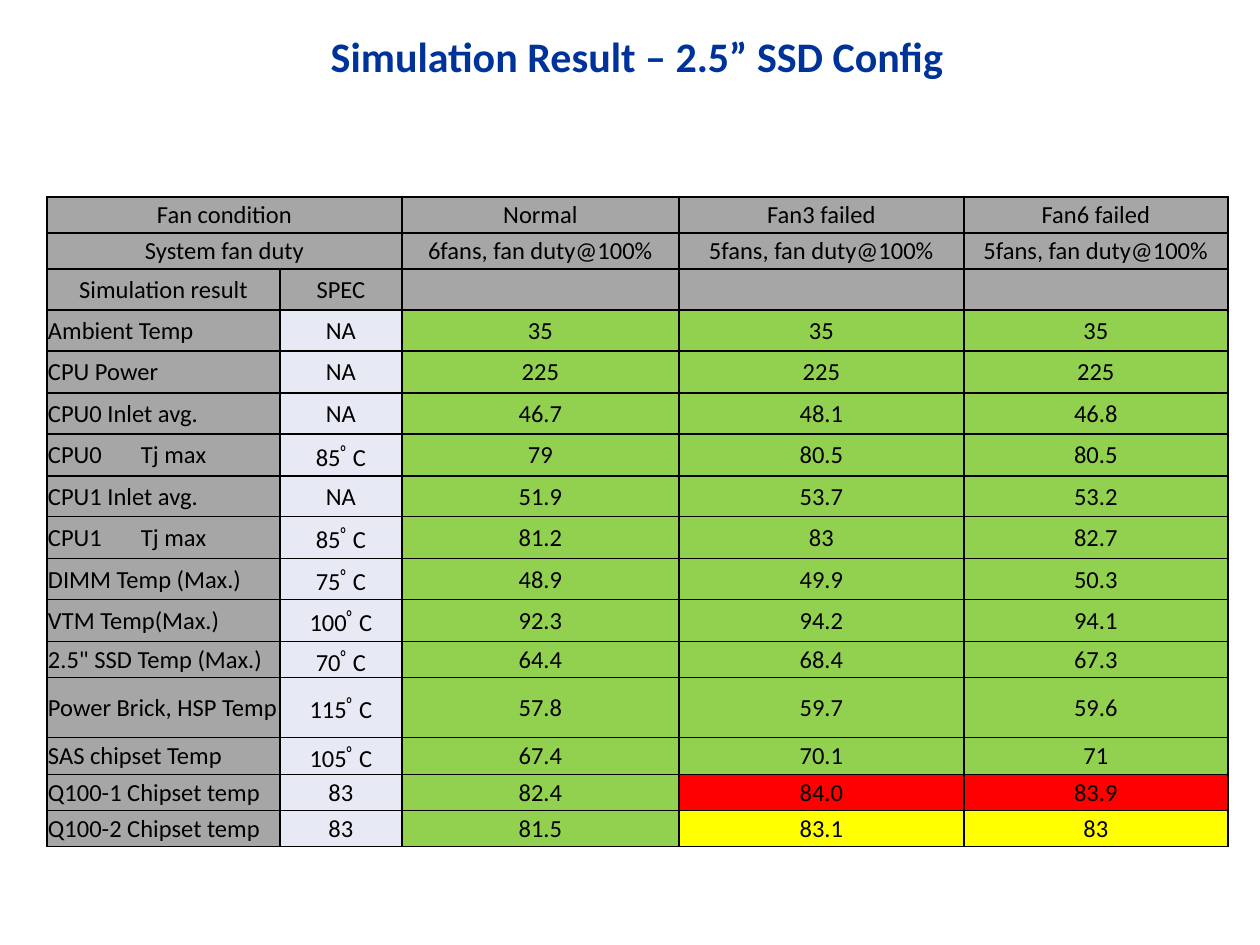
import pptx
import pptx.dml.color
import pptx.enum.text
import pptx.oxml
import pptx.oxml.ns
import pptx.util

PIXEL = 914400 // 126
FONT = "Calibri"
GREY, LAVENDER, GREEN, YELLOW, RED = "A6A6A6", "E7EAF4", "92D050", "FFFF00", "FF0000"
COLUMN_WIDTHS = [233, 122, 277, 285, 264]
ROW_HEIGHTS = [36, 36, 41] + [41, 42] * 4 + [36, 60, 37, 36, 36]
HEADINGS = [
    ["Fan condition", "", "Normal", "Fan3 failed", "Fan6 failed"],
    ["System fan duty", "", "6fans, fan duty@100%", "5fans, fan duty@100%", "5fans, fan duty@100%"],
    ["Simulation result", "SPEC", "", "", ""],
]
DEGREES = "\uff9fC"
RESULTS = [
    ["Ambient Temp", "NA", "35", "35", "35"],
    ["CPU Power", "NA", "225", "225", "225"],
    ["CPU0 Inlet avg.", "NA", "46.7", "48.1", "46.8"],
    ["CPU0\tTj max", "85" + DEGREES, "79", "80.5", "80.5"],
    ["CPU1 Inlet avg.", "NA", "51.9", "53.7", "53.2"],
    ["CPU1\tTj max", "85" + DEGREES, "81.2", "83", "82.7"],
    ["DIMM Temp (Max.)", "75" + DEGREES, "48.9", "49.9", "50.3"],
    ["VTM Temp(Max.)", "100" + DEGREES, "92.3", "94.2", "94.1"],
    ['2.5" SSD Temp (Max.)', "70" + DEGREES, "64.4", "68.4", "67.3"],
    ["Power Brick, HSP Temp", "115" + DEGREES, "57.8", "59.7", "59.6"],
    ["SAS chipset Temp", "105" + DEGREES, "67.4", "70.1", "71"],
    ["Q100-1 Chipset temp", "83", "82.4", "84.0", "83.9"],
    ["Q100-2 Chipset temp", "83", "81.5", "83.1", "83"],
]


def px(length):
    """Turn pixels into EMU."""
    return pptx.util.Emu(length * PIXEL)


def rgb(value):
    """Turn a hex string into a colour."""
    return pptx.dml.color.RGBColor.from_string(value)


def write(paragraph, words, size, colour, centred=True, bold=False):
    """Put styled words into a paragraph."""
    align = pptx.enum.text.PP_ALIGN
    paragraph.text = words
    paragraph.alignment = align.CENTER if centred else align.LEFT
    paragraph.font.name = FONT
    paragraph.font.size = pptx.util.Pt(size)
    paragraph.font.bold = bold
    paragraph.font.color.rgb = rgb(colour)


def add_tab_stop(paragraph, position):
    """Set one left tab stop on a paragraph."""
    stops = pptx.oxml.parse_xml(
        f'<a:tabLst {pptx.oxml.ns.nsdecls("a")}><a:tab pos="{px(position)}" algn="l"/></a:tabLst>')
    paragraph._p.get_or_add_pPr().insert(0, stops)


def add_borders(cell):
    """Draw a thin black line on each side of a cell."""
    properties = cell._tc.get_or_add_tcPr()
    for place, side in enumerate("LRTB"):
        properties.insert(place, pptx.oxml.parse_xml(
            f'<a:ln{side} {pptx.oxml.ns.nsdecls("a")} w="12700"><a:solidFill>'
            f'<a:srgbClr val="000000"/></a:solidFill></a:ln{side}>'))


def result_fill(spec, result):
    """Choose a result's colour by how it stands against its limit."""
    if spec == "NA":
        return GREEN
    limit, value = float(spec.removesuffix(DEGREES)), float(result)
    if value < limit:
        return GREEN
    return RED if round(value) > limit else YELLOW


def fill_cell(cell, words, fill, centred=True):
    """Style one table cell and write its words."""
    cell.margin_left = cell.margin_right = cell.margin_top = px(1)
    cell.margin_bottom = 0
    cell.vertical_anchor = pptx.enum.text.MSO_ANCHOR.MIDDLE
    cell.fill.solid()
    cell.fill.fore_color.rgb = rgb(fill)
    add_borders(cell)
    paragraph = cell.text_frame.paragraphs[0]
    write(paragraph, words, 14, "000000", centred)
    if "\t" in words:
        add_tab_stop(paragraph, 93)


def add_title(slide, words):
    """Add the slide title."""
    title = slide.shapes.add_textbox(px(14), px(19), px(1246), px(73))
    title.text_frame.word_wrap = True
    title.text_frame.vertical_anchor = pptx.enum.text.MSO_ANCHOR.MIDDLE
    write(title.text_frame.paragraphs[0], words, 24, "003399", bold=True)


def add_results(slide):
    """Add the table of simulation results."""
    table = slide.shapes.add_table(
        len(ROW_HEIGHTS), len(COLUMN_WIDTHS), px(47), px(197),
        px(sum(COLUMN_WIDTHS)), px(sum(ROW_HEIGHTS))).table
    table.first_row = table.horz_banding = False
    for column, width in zip(table.columns, COLUMN_WIDTHS):
        column.width = px(width)
    for row, height in zip(table.rows, ROW_HEIGHTS):
        row.height = px(height)
    for r, headings in enumerate(HEADINGS):
        for c, heading in enumerate(headings):
            fill_cell(table.cell(r, c), heading, GREY)
    for r, (name, spec, *results) in enumerate(RESULTS, len(HEADINGS)):
        fill_cell(table.cell(r, 0), name, GREY, centred=False)
        fill_cell(table.cell(r, 1), spec, LAVENDER)
        for c, result in enumerate(results, 2):
            fill_cell(table.cell(r, c), result, result_fill(spec, result))
    for r in range(2):
        table.cell(r, 0).merge(table.cell(r, 1))


def main():
    """Build and save the slide."""
    deck = pptx.Presentation()
    deck.slide_width, deck.slide_height = pptx.util.Inches(10), pptx.util.Inches(7.5)
    slide = deck.slides.add_slide(deck.slide_layouts[6])
    add_title(slide, "Simulation Result – 2.5” SSD Config")
    add_results(slide)
    deck.save("out.pptx")


main()
